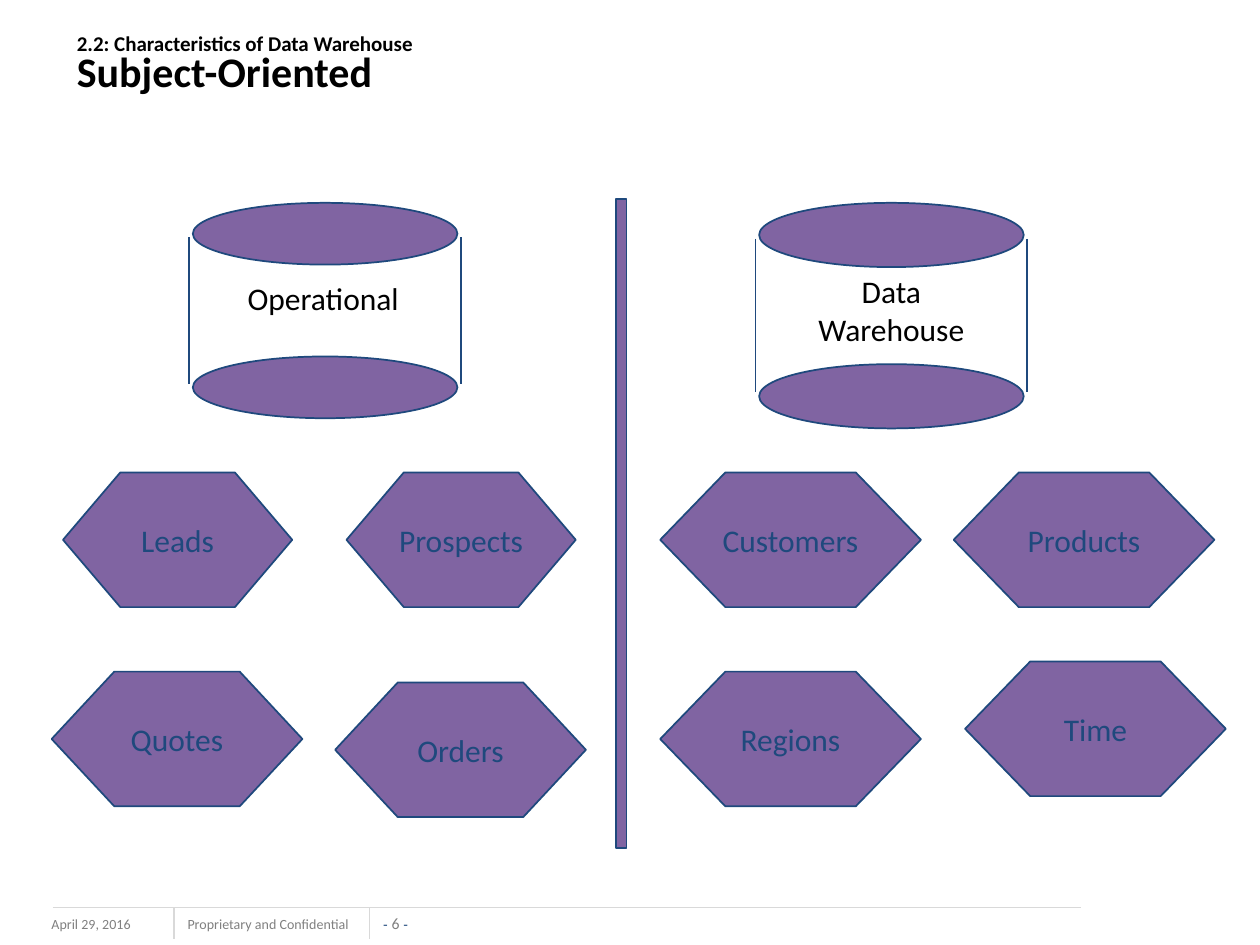
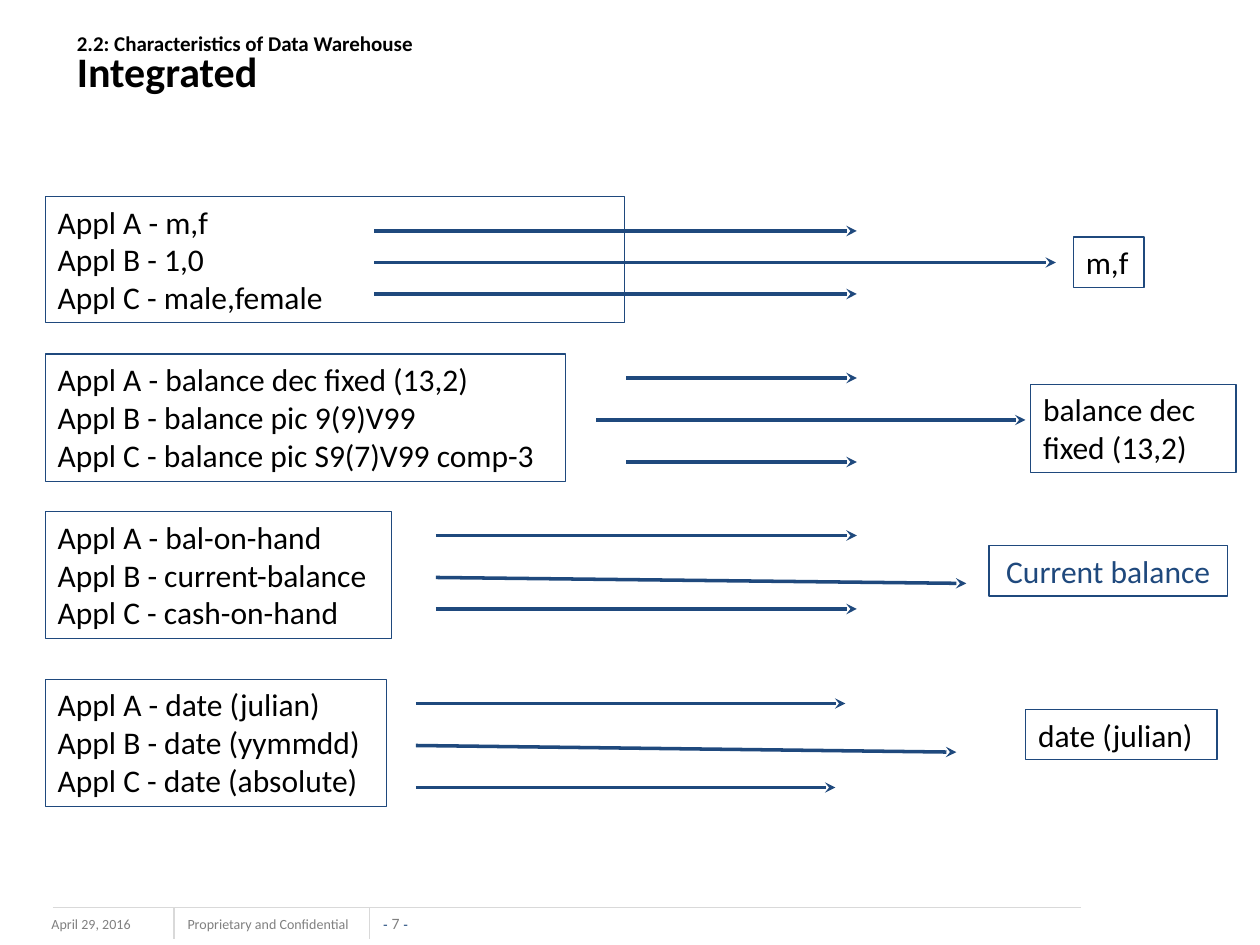
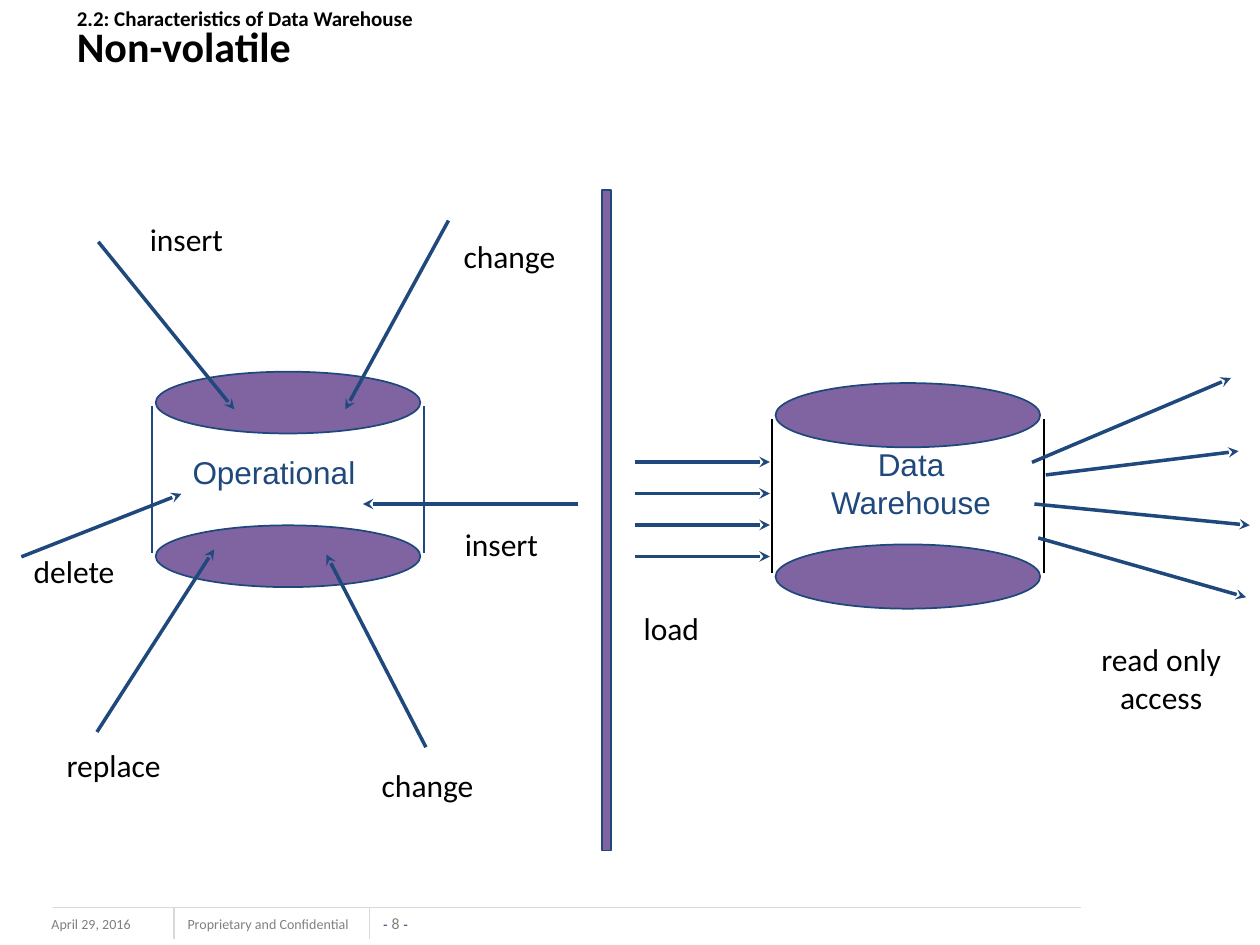
from dataclasses import dataclass

from lxml.etree import SubElement
from pptx import Presentation
from pptx.dml.color import RGBColor
from pptx.enum.shapes import MSO_CONNECTOR, MSO_SHAPE
from pptx.enum.text import MSO_ANCHOR, PP_ALIGN
from pptx.oxml.ns import qn
from pptx.util import Pt


@dataclass(frozen=True)
class Theme:
    purple: RGBColor = RGBColor(0x80, 0x64, 0xA2)
    navy: RGBColor = RGBColor(0x1F, 0x49, 0x7D)
    black: RGBColor = RGBColor(0, 0, 0)
    gray: RGBColor = RGBColor(0x80, 0x80, 0x80)
    rule: RGBColor = RGBColor(0xD9, 0xD9, 0xD9)
    font: str = "Calibri"
    plain_font: str = "Arial"
    title: int = 24
    body: int = 18
    section: int = 12
    number: int = 9
    footer: int = 8
    thin: float = 0.75
    outline: float = 1
    arrow: float = 2


THEME = Theme()

# Content shared by all slides; every length is in points
SECTION = "2.2: Characteristics of Data Warehouse"
TITLE_BOX = (36.7, 9.4, 642.2, 56.2)
FOOTERS = [
    ("April 29, 2016", (22.3, 519.8, 95.8, 18)),
    ("Proprietary and Confidential", (100.1, 519.8, 113, 17.3)),
]
NUMBER_BOX = (216.7, 522, 18.7, 10.8)
FOOTER_RULES = [
    (30.2, 518.4, 617.8, 518.4),
    (99.4, 518.4, 99.4, 536.4),
    (211, 518.4, 211, 536.4),
]
FIRST_NUMBER = 6

# Drums: width, cap height, total height
DRUM_WIDTH = 151.2
OPERATIONAL_SIZE = (35.3, 123.1)
WAREHOUSE_SIZE = (36.7, 128.9)
OPERATIONAL = ["Operational"]
WAREHOUSE = ["Data", "Warehouse"]

# Subject-Oriented: subject, left, top, width
HEXAGON_HEIGHT = 77
SUBJECTS = [
    ("Leads", 36, 270, 131),
    ("Prospects", 198, 270, 131),
    ("Quotes", 29.5, 383.8, 143.3),
    ("Orders", 191.5, 390, 143.3),
    ("Customers", 377.3, 270, 149),
    ("Products", 545, 270, 149),
    ("Regions", 377.3, 383.8, 149),
    ("Time", 551.5, 378, 149),
]

# Integrated: source lines and box, arrows, result lines, box and colour
MAPPINGS = [
    (["Appl A - m,f", "Appl B - 1,0", "Appl C - male,female"],
     (25.9, 112.3, 331.2, 72),
     [(213.8, 132, 489.6, 132), (213.8, 150, 603.4, 150), (213.8, 168, 489.6, 168)],
     ["m,f"], (613.4, 135.4, 40.3, 28.8), THEME.black),
    (["Appl A - balance dec fixed (13,2)", "Appl B - balance pic 9(9)V99",
      "Appl C - balance pic S9(7)V99 comp-3"],
     (25.9, 202.3, 297.4, 72.7),
     [(357.8, 216, 489.6, 216), (340.6, 240, 586, 240), (357.8, 264, 489.6, 264)],
     ["balance dec", "fixed (13,2)"], (589, 219.6, 117.4, 50.4), THEME.black),
    (["Appl A - bal-on-hand", "Appl B - current-balance", "Appl C - cash-on-hand"],
     (25.9, 292.3, 198, 72.7),
     [(249.1, 306, 489.6, 306), (249.1, 330, 552.2, 333.4), (249.1, 348, 489.6, 348)],
     ["Current balance"], (565.2, 311.8, 136.1, 28.8), THEME.navy),
    (["Appl A - date (julian)", "Appl B - date (yymmdd)", "Appl C - date (absolute)"],
     (25.9, 388.1, 195.1, 72.7),
     [(237.6, 402, 483.1, 402), (237.6, 426, 546.5, 429.8), (237.6, 450, 477.4, 450)],
     ["date (julian)"], (586.1, 405.4, 109.4, 28.8), THEME.black),
]

# Non-volatile: operations on the left, loads and reads on the right
OPERATION_ARROWS = [
    (56.2, 138.2, 133.9, 234),
    (12.2, 318.2, 103.7, 282.2),
    (55.4, 418.3, 122.4, 313.9),
    (243.4, 427, 186.5, 316.8),
    (256.3, 126, 197.3, 234),
    (330.5, 288, 207.4, 288),
]
LOAD_ARROWS = [(362.9, y, 439.9, y) for y in range(264, 319, 18)]
READ_ARROWS = [
    (589.7, 264.2, 703.4, 216),
    (597.6, 271.4, 707.8, 257.8),
    (591.1, 288, 714.2, 300.2),
    (593.3, 307.4, 712.1, 341.3),
]
ACTION_LABELS = [
    (["insert"], (78.5, 122.4, 58.3, 28.8)),
    (["change"], (257.8, 131.8, 70.6, 28.8)),
    (["insert"], (258.5, 296.6, 58.3, 28.8)),
    (["delete"], (12.2, 311.8, 66, 28.8)),
    (["replace"], (31, 422.6, 71.3, 28.8)),
    (["change"], (211, 434.2, 70.6, 28.8)),
    (["load"], (360.7, 344.2, 48.2, 28.8)),
]
READ_LABEL = (["read only", "access"], (618.5, 362.2, 90, 51.1))


def points(values):
    return [Pt(value) for value in values]


def style_font(font, size, color, name=THEME.font):
    font.size, font.name = Pt(size), name
    font.color.rgb = color


def write_lines(frame, lines, size, color, name=THEME.font, align=PP_ALIGN.LEFT):
    frame.word_wrap = False
    for index, line in enumerate(lines):
        para = frame.add_paragraph() if index else frame.paragraphs[0]
        para.text, para.alignment = line, align
        style_font(para.font, size, color, name)


def add_text(page, lines, place, size=THEME.body, color=THEME.black, border=False, **style):
    box = page.shapes.add_textbox(*points(place))
    write_lines(box.text_frame, lines, size, color, **style)
    if border:
        box.line.color.rgb, box.line.width = THEME.navy, Pt(THEME.thin)
    return box


def add_filled(page, kind, *place):
    shape = page.shapes.add_shape(kind, *points(place))
    shape.shadow.inherit = False
    shape.fill.solid()
    shape.fill.fore_color.rgb = THEME.purple
    shape.line.color.rgb, shape.line.width = THEME.navy, Pt(THEME.outline)
    return shape


def add_line(page, ends, color=THEME.navy, width=THEME.outline):
    line = page.shapes.add_connector(MSO_CONNECTOR.STRAIGHT, *points(ends))
    line.line.color.rgb, line.line.width = color, Pt(width)
    SubElement(line._element.spPr, qn("a:effectLst"))
    return line


def add_arrows(page, arrows):
    for ends in arrows:
        arrow = add_line(page, ends, width=THEME.arrow)
        SubElement(arrow.line._get_or_add_ln(), qn("a:tailEnd"), type="stealth")


def add_drum(page, left, top, size, side_color=THEME.navy):
    cap, height = size
    for cap_top in (top, top + height - cap):
        add_filled(page, MSO_SHAPE.OVAL, left, cap_top, DRUM_WIDTH, cap)
    inset = 0.56 * cap
    for x in (left - 2, left + DRUM_WIDTH + 2):
        add_line(page, (x, top + inset, x, top + height - inset), side_color)


def break_line(para, size):
    para.add_line_break()
    SubElement(para._p[-1], qn("a:rPr"), sz=str(size * 100))


def add_title(page, text, trailing_break=False):
    title = page.shapes.title
    title.left, title.top, title.width, title.height = points(TITLE_BOX)
    title.text_frame.vertical_anchor = MSO_ANCHOR.MIDDLE
    para = title.text_frame.paragraphs[0]
    para.alignment, para.line_spacing = PP_ALIGN.LEFT, 0.8
    style_font(para.font, THEME.title, THEME.black)
    para.font.bold = True
    section = para.add_run()
    section.text, section.font.size = SECTION, Pt(THEME.section)
    break_line(para, THEME.section)
    para.add_run().text = text
    if trailing_break:
        break_line(para, THEME.title)


def add_footer(page, number):
    for text, place in FOOTERS:
        add_text(page, [text], place, THEME.footer, THEME.gray)
    box = page.shapes.add_textbox(*points(NUMBER_BOX))
    frame = box.text_frame
    frame.margin_left = frame.margin_right = frame.margin_top = frame.margin_bottom = 0
    frame.word_wrap, frame.vertical_anchor = False, MSO_ANCHOR.BOTTOM
    para = frame.paragraphs[0]
    para.alignment = PP_ALIGN.CENTER
    dash = (THEME.footer, THEME.navy, THEME.plain_font)
    for text, style in [("- ", dash), (f"{number} ", (THEME.number, THEME.gray)), ("-", dash)]:
        span = para.add_run()
        span.text = text
        style_font(span.font, *style)
    for ends in FOOTER_RULES:
        add_line(page, ends, THEME.rule, THEME.thin)


def build_subject_oriented(page):
    add_title(page, "Subject-Oriented")
    add_drum(page, 110.2, 115.9, OPERATIONAL_SIZE)
    add_drum(page, 433.8, 115.9, WAREHOUSE_SIZE)
    add_text(page, OPERATIONAL, (113.8, 156.2, 141.8, 28.8), align=PP_ALIGN.CENTER)
    add_text(page, WAREHOUSE, (458.6, 151.9, 101.5, 51.1), align=PP_ALIGN.CENTER)
    add_filled(page, MSO_SHAPE.RECTANGLE, 352.1, 113.8, 6, 370.8)
    for subject, left, top, width in SUBJECTS:
        hexagon = add_filled(page, MSO_SHAPE.HEXAGON, left, top, width, HEXAGON_HEIGHT)
        hexagon.adjustments[0] = width / 4 / HEXAGON_HEIGHT
        hexagon.text_frame.vertical_anchor = MSO_ANCHOR.MIDDLE
        write_lines(hexagon.text_frame, [subject], THEME.body, THEME.navy,
                    align=PP_ALIGN.CENTER)


def build_integrated(page):
    add_title(page, "Integrated")
    for sources, source_box, arrows, result, result_box, color in MAPPINGS:
        add_text(page, sources, source_box, border=True)
        add_arrows(page, arrows)
        align = PP_ALIGN.CENTER if color == THEME.navy else PP_ALIGN.LEFT
        add_text(page, result, result_box, color=color, border=True, align=align)


def build_non_volatile(page):
    add_title(page, "Non-volatile", trailing_break=True)
    drum_label = {"color": THEME.navy, "name": THEME.plain_font, "align": PP_ALIGN.CENTER}
    add_drum(page, 89, 212.4, OPERATIONAL_SIZE)
    add_text(page, OPERATIONAL, (102.2, 255.6, 108.7, 28.8), **drum_label)
    add_drum(page, 443.2, 218.9, WAREHOUSE_SIZE, THEME.black)
    add_text(page, WAREHOUSE, (467.3, 250.6, 106.6, 51.1), **drum_label)
    add_filled(page, MSO_SHAPE.RECTANGLE, 344.2, 108.7, 5, 377.3)
    add_arrows(page, OPERATION_ARROWS + LOAD_ARROWS + READ_ARROWS)
    for lines, place in ACTION_LABELS:
        add_text(page, lines, place)
    add_text(page, *READ_LABEL, align=PP_ALIGN.CENTER)


def main():
    deck = Presentation()
    deck.slide_width, deck.slide_height = Pt(720), Pt(540)
    builders = [build_subject_oriented, build_integrated, build_non_volatile]
    for number, build in enumerate(builders, FIRST_NUMBER):
        page = deck.slides.add_slide(deck.slide_layouts[5])
        add_footer(page, number)
        build(page)
    deck.save("out.pptx")


if __name__ == "__main__":
    main()
